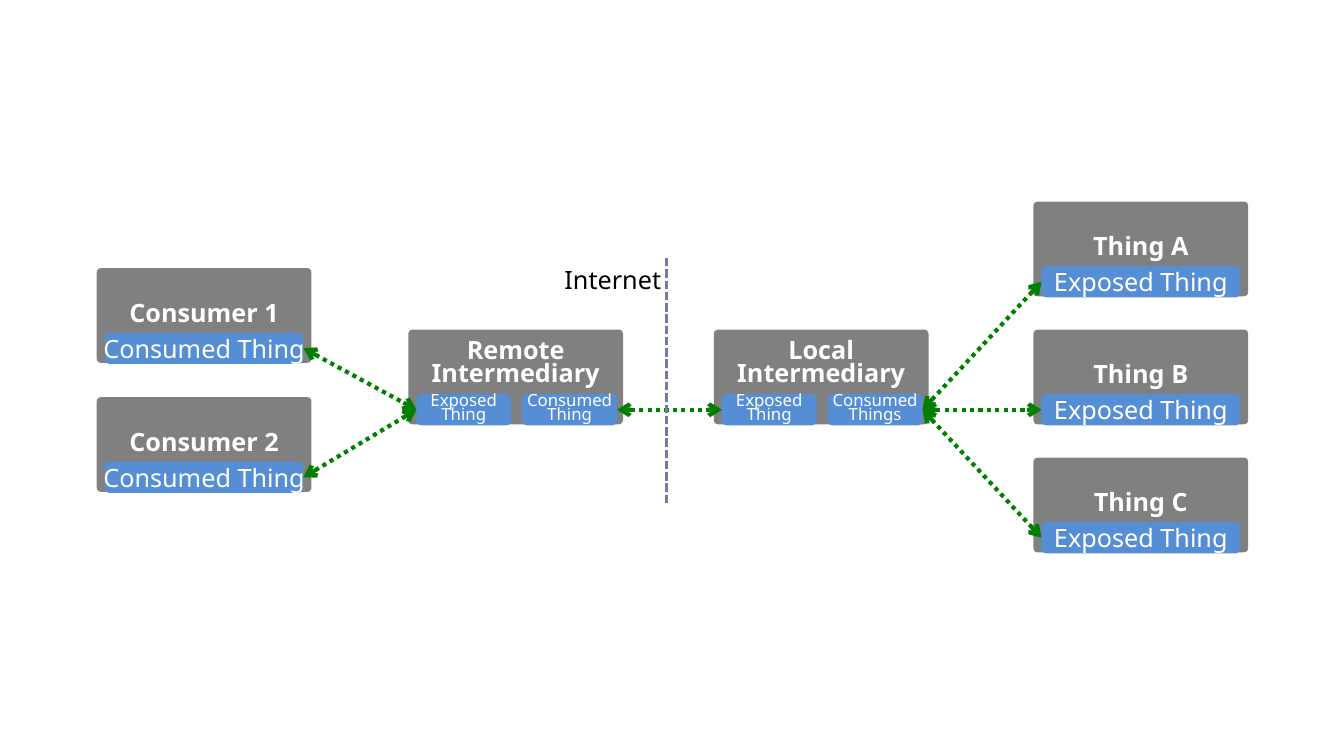
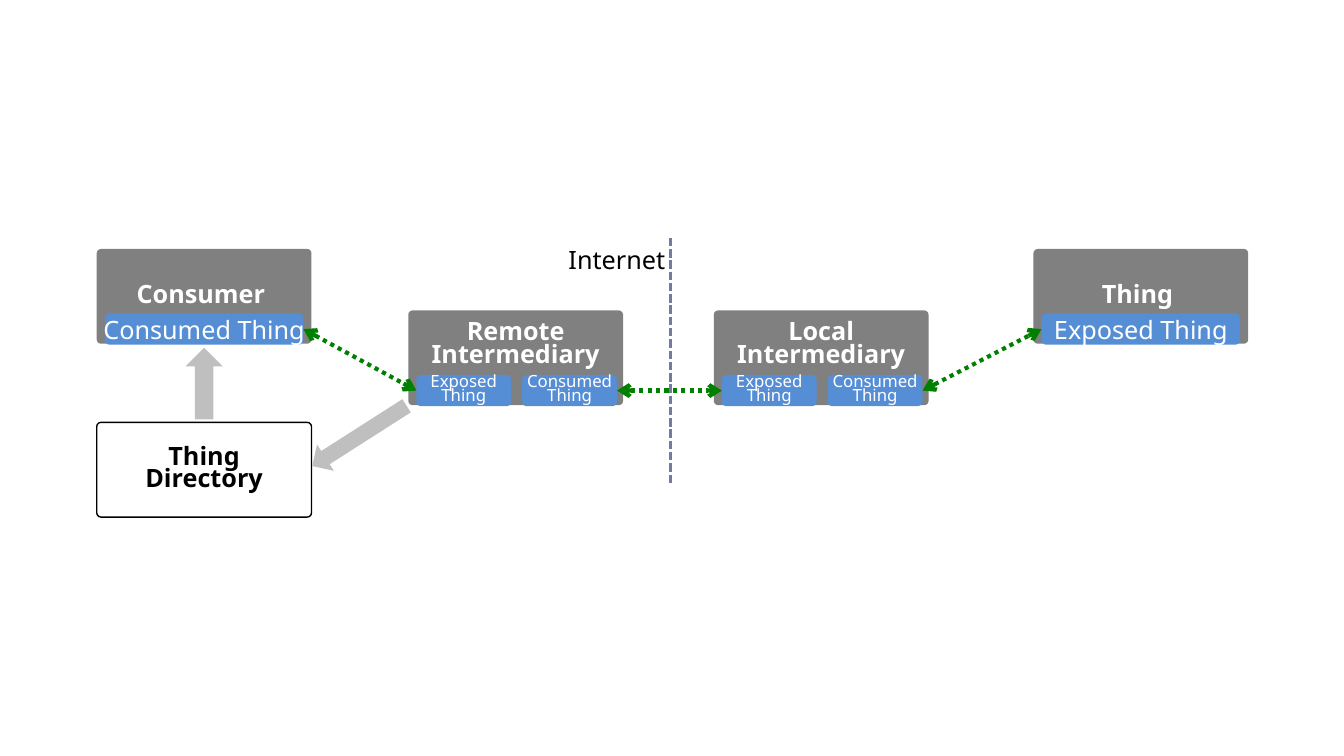
from dataclasses import dataclass

from lxml import etree
from pptx import Presentation
from pptx import util as u
from pptx.dml.color import RGBColor
from pptx.enum import dml, shapes, text
from pptx.oxml.ns import qn


@dataclass(frozen=True)
class Theme:
    font: str = "Noto Sans"
    node: str = "808080"
    badge: str = "558ED5"
    link: str = "008000"
    divider: str = "727CA3"
    block_arrow: str = "BFBFBF"
    light: str = "FFFFFF"
    dark: str = "000000"
    size: int = 18
    small: int = 12


T = Theme()
NODE_W, NODE_H = 2.13, 0.94
BADGE_H, BADGE_INSET, BADGE_DROP = 0.31, 0.08, 0.64
WIDE_BADGE, NARROW_BADGE, BADGE_STEP = 1.97, 0.94, 1.05
CONSUMER_X, REMOTE_X, LOCAL_X, THING_X = 0.96, 4.05, 7.08, 10.25


def rgb(value):
    return RGBColor.from_string(value)


def set_text(sp, lines, size, color, bold=False, spacing=None, align=None):
    tf = sp.text_frame
    tf.text = "\n".join(lines)
    tf.word_wrap = False
    for p in tf.paragraphs:
        p.alignment = align
        p.line_spacing = spacing
        for r in p.runs:
            r.font.name = T.font
            r.font.size = u.Pt(size)
            r.font.bold = bold
            r.font.color.rgb = rgb(color)


def add_block(s, kind, x, y, w, h, fill, line=None):
    sp = s.shapes.add_shape(kind, *map(u.Inches, (x, y, w, h)))
    sp.shadow.inherit = False
    sp.fill.solid()
    sp.fill.fore_color.rgb = rgb(fill)
    if line:
        sp.line.color.rgb = rgb(line)
        sp.line.width = u.Pt(1)
    else:
        sp.line.fill.background()
    return sp


def add_box(s, x, y, w, h, radius, lines, fill, line=None, **style):
    sp = add_block(s, shapes.MSO_SHAPE.ROUNDED_RECTANGLE, x, y, w, h, fill, line)
    sp.adjustments[0] = radius
    sp.text_frame.vertical_anchor = text.MSO_ANCHOR.MIDDLE
    set_text(sp, lines, align=text.PP_ALIGN.CENTER, **style)
    return sp


def add_node(s, x, y, lines, fill=T.node, color=T.light, line=None, bottom=0):
    sp = add_box(s, x, y, NODE_W, NODE_H, 0.045, lines, fill, line,
                 size=T.size, color=color, bold=True, spacing=0.75)
    tf = sp.text_frame
    tf.margin_left = tf.margin_right = tf.margin_top = 0
    tf.margin_bottom = u.Inches(bottom)


def add_badge(s, x, y, w, lines, size, spacing=None):
    return add_box(s, x + BADGE_INSET, y + BADGE_DROP, w, BADGE_H, 0.15, lines,
                   T.badge, size=size, color=T.light, spacing=spacing)


def add_endpoint(s, x, y, name, role):
    add_node(s, x, y, [name])
    return add_badge(s, x, y, WIDE_BADGE, [role], T.size)


def add_intermediary(s, x, y, name, consumed="Thing"):
    add_node(s, x, y, [name, "Intermediary"], bottom=0.25)
    roles = [("Exposed", "Thing"), ("Consumed", consumed)]
    return [add_badge(s, x + i * BADGE_STEP, y, NARROW_BADGE, role, T.small, 0.7)
            for i, role in enumerate(roles)]


def add_line(s, x1, y1, x2, y2, color, width, dash):
    cx = s.shapes.add_connector(shapes.MSO_CONNECTOR.STRAIGHT,
                                *map(u.Inches, (x1, y1, x2, y2)))
    cx.line.color.rgb = rgb(color)
    cx.line.width = u.Pt(width)
    cx.line.dash_style = dash
    etree.SubElement(cx._element.spPr, qn("a:effectLst"))
    return cx


def add_link(s, left, right):
    cx = add_line(s, 0, 0, 1, 1, T.link, 3, dml.MSO_LINE.ROUND_DOT)
    cx.begin_connect(left, 3)
    cx.end_connect(right, 1)
    ln = cx.line._get_or_add_ln()
    for end in ("a:headEnd", "a:tailEnd"):
        etree.SubElement(ln, qn(end), type="arrow")


def add_internet_divider(s, x, y):
    add_line(s, x, y, x, y + 2.45, T.divider, 2, dml.MSO_LINE.SQUARE_DOT)
    sp = s.shapes.add_textbox(*map(u.Inches, (x - 1.11, y + 0.01, 1.17, 0.4)))
    set_text(sp, ["Internet"], T.size, T.dark)
    sp.text_frame.auto_size = text.MSO_AUTO_SIZE.SHAPE_TO_FIT_TEXT


def add_block_arrow(s, x, y, w, h, rotation):
    sp = add_block(s, shapes.MSO_SHAPE.DOWN_ARROW, x, y, w, h, T.block_arrow)
    sp.rotation = rotation


def add_network(s, consumers, things, y, divider, consumed="Thing"):
    consumer_badges = [add_endpoint(s, CONSUMER_X, top, name, "Consumed Thing")
                       for name, top in consumers]
    thing_badges = [add_endpoint(s, THING_X, top, name, "Exposed Thing")
                    for name, top in things]
    remote_in, remote_out = add_intermediary(s, REMOTE_X, y, "Remote")
    local_in, local_out = add_intermediary(s, LOCAL_X, y, "Local", consumed)
    for badge in consumer_badges:
        add_link(s, badge, remote_in)
    add_link(s, remote_out, local_in)
    for badge in thing_badges:
        add_link(s, local_out, badge)
    add_internet_divider(s, *divider)


def add_directory(s):
    add_node(s, CONSUMER_X, 4.19, ["Thing", "Directory"], T.light, T.dark, T.dark)
    add_block_arrow(s, 3.41, 3.77, 0.31, 1.11, 57.4)
    add_block_arrow(s, 1.84, 3.45, 0.37, 0.71, 180)


def main():
    prs = Presentation()
    prs.slide_width, prs.slide_height = u.Inches(13.33), u.Inches(7.5)
    blank = prs.slide_layouts[6]

    s = prs.slides.add_slide(blank)
    consumers = [(f"Consumer {i + 1}", 2.66 + 1.28 * i) for i in range(2)]
    things = [(f"Thing {c}", 2.0 + 1.27 * i) for i, c in enumerate("ABC")]
    add_network(s, consumers, things, 3.27, (6.61, 2.56), "Things")

    s = prs.slides.add_slide(blank)
    add_network(s, [("Consumer ", 2.47)], [("Thing ", 2.47)], 3.08, (6.65, 2.36))
    add_directory(s)

    prs.save("out.pptx")


if __name__ == "__main__":
    main()
